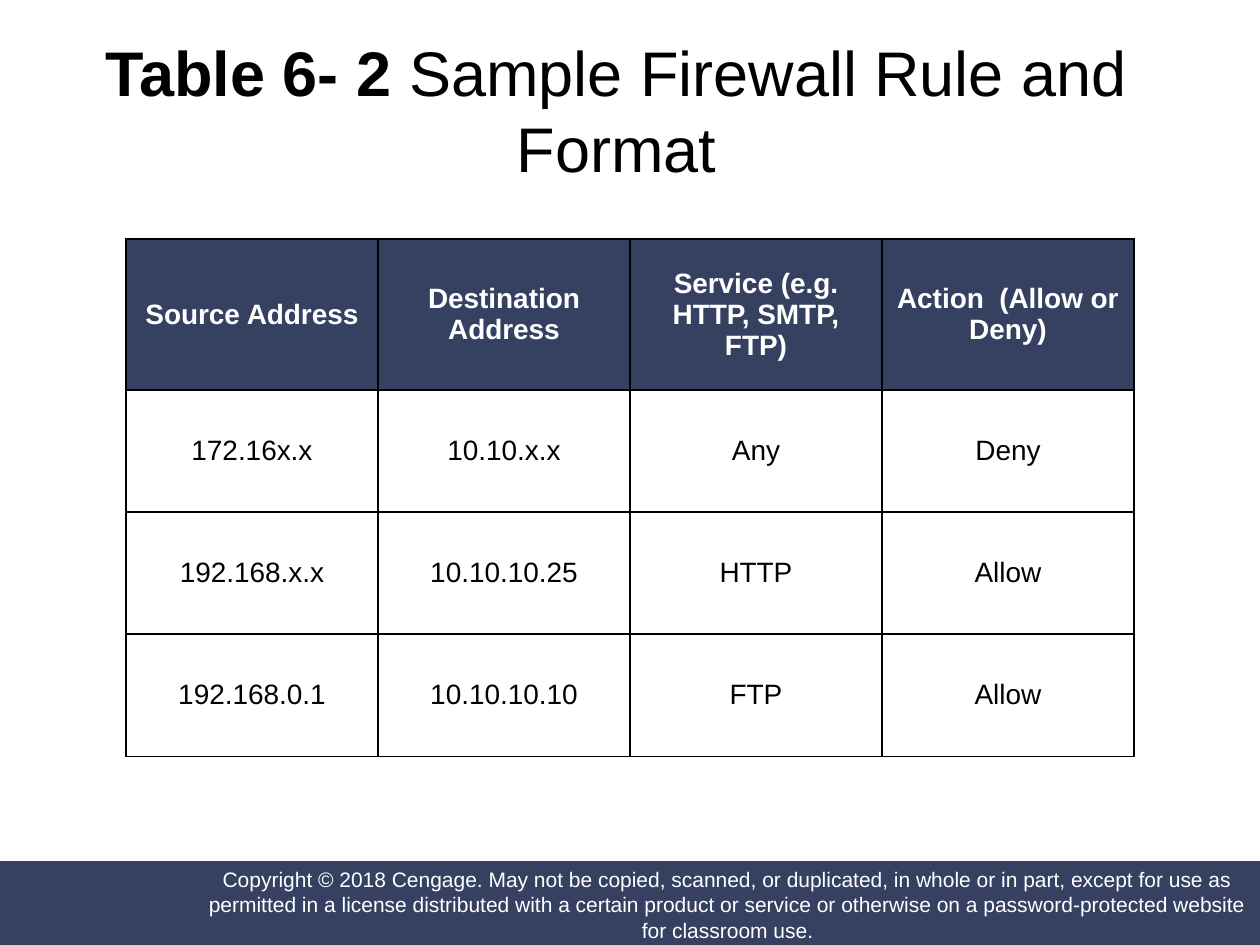
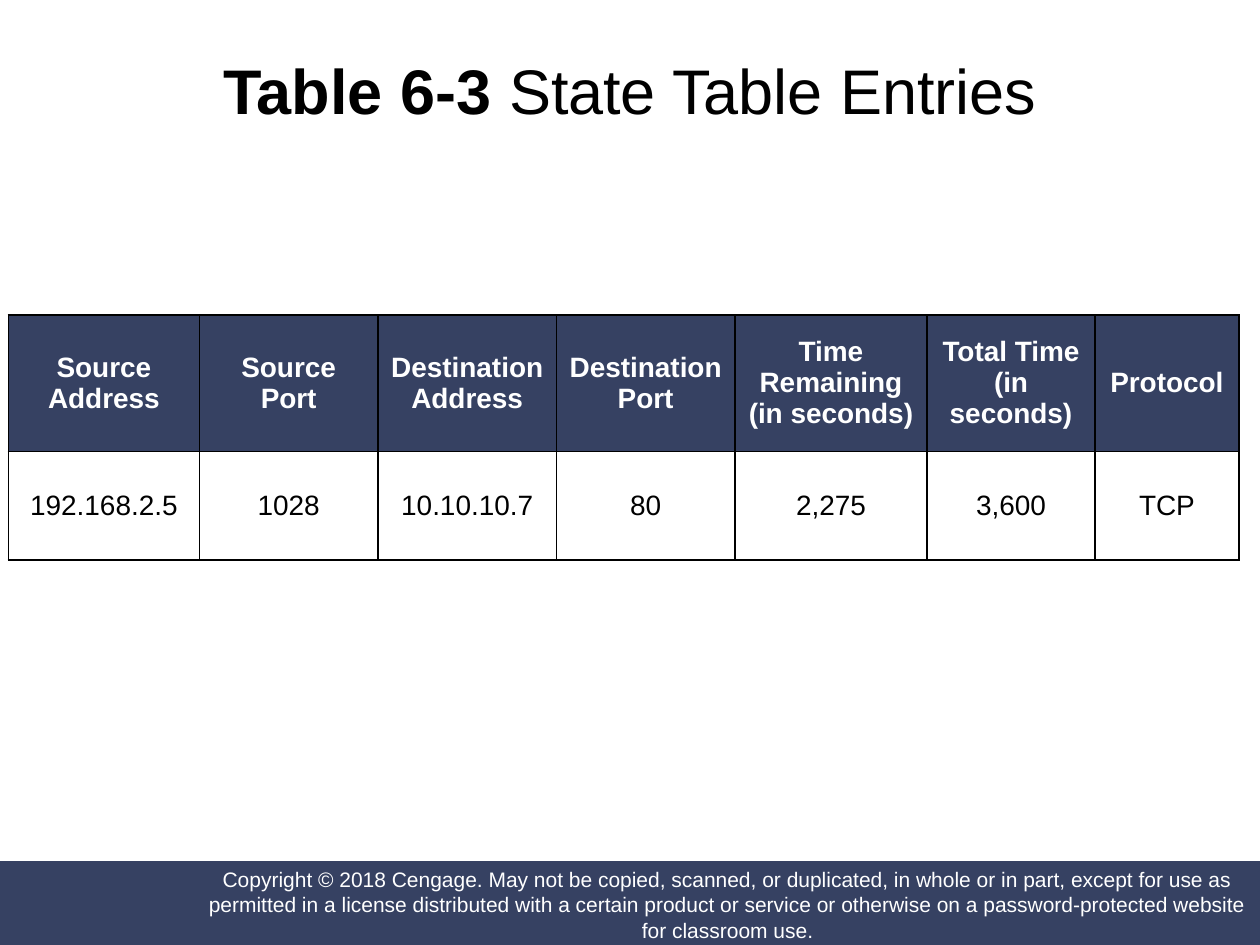
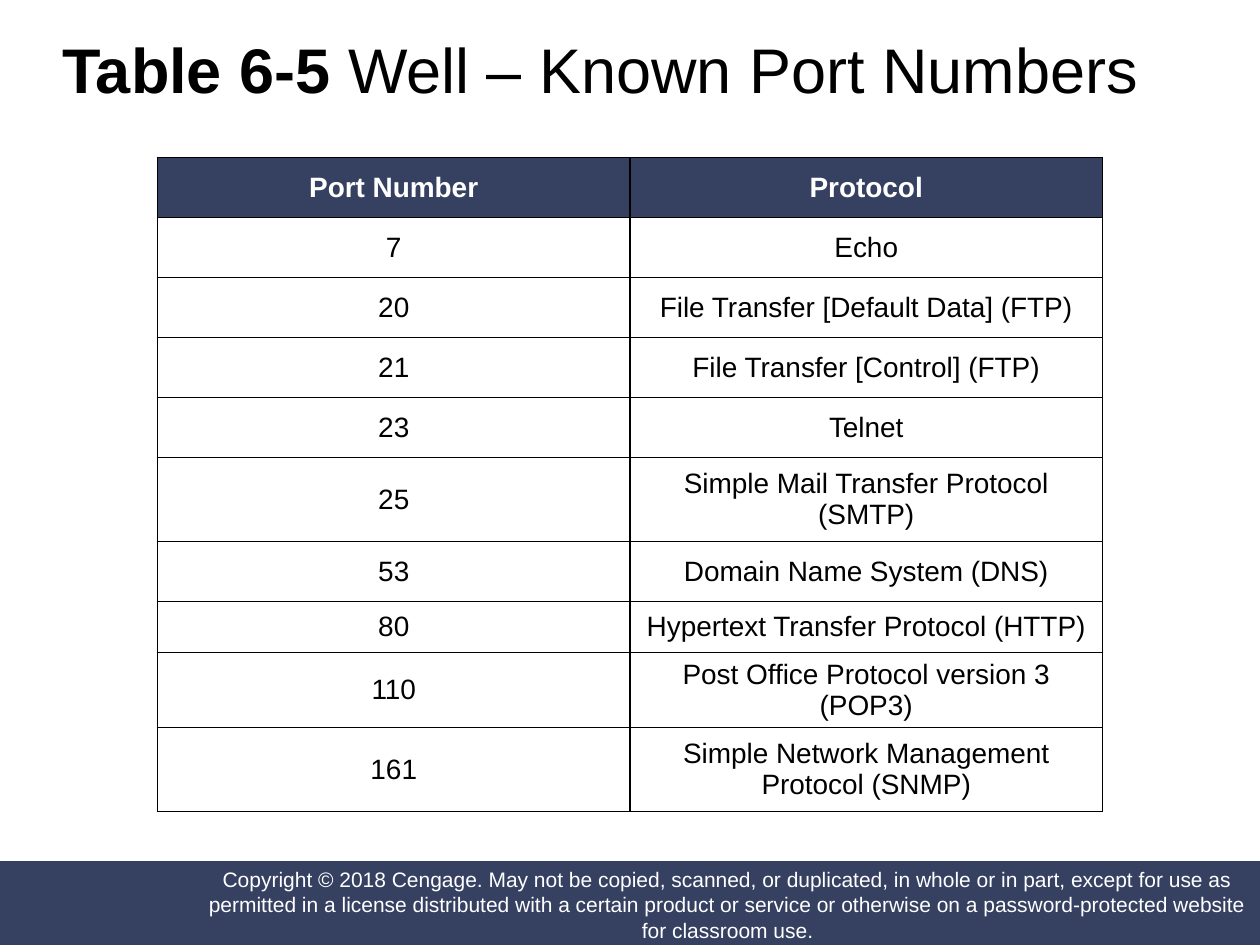
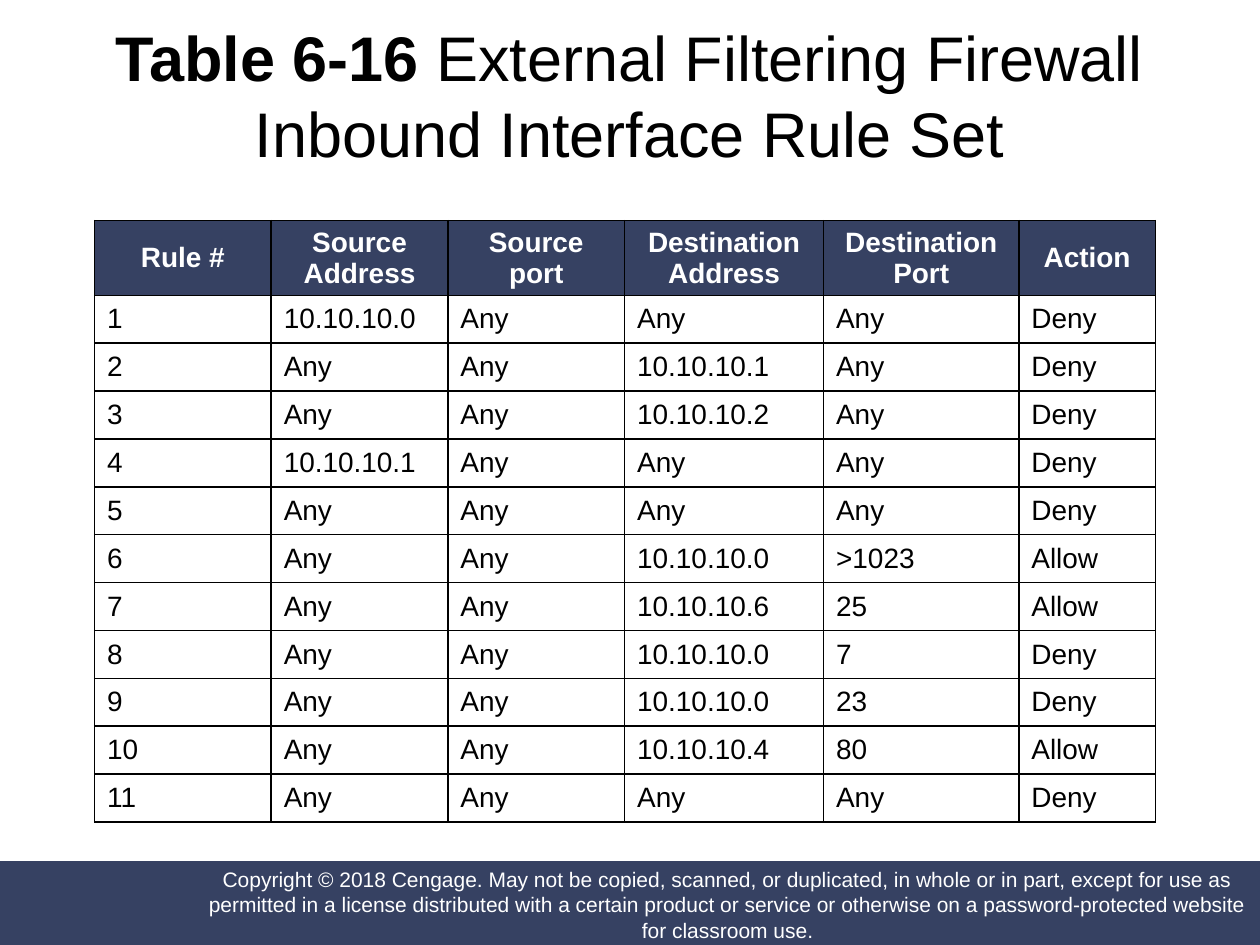
import dataclasses

import lxml.etree
import pptx
import pptx.dml.color
import pptx.enum.shapes
import pptx.enum.text
import pptx.oxml.ns
import pptx.util

COLUMNS, ROWS = 120, 90
UNIT = pptx.util.Inches(10) // COLUMNS
CENTER = pptx.enum.text.PP_ALIGN.CENTER
LEFT = pptx.enum.text.PP_ALIGN.LEFT
MIDDLE = pptx.enum.text.MSO_ANCHOR.MIDDLE
TITLE_ONLY = 5


@dataclasses.dataclass(frozen=True)
class Theme:
    font: str = "Arial"
    navy: str = "364162"
    white: str = "FFFFFF"
    black: str = "000000"
    title_size: int = 36
    table_size: int = 16
    footer_size: int = 12
    border_width: int = 1


@dataclasses.dataclass(frozen=True)
class Box:
    """A region in grid columns and rows."""
    left: float
    top: float
    width: float
    height: float

    def emu(self):
        return [grid(value) for value in dataclasses.astuple(self)]


@dataclasses.dataclass(frozen=True)
class TableSlide:
    number: str
    caption: str
    title_box: Box
    table_left: float
    table_top: float
    column_widths: list
    row_heights: list
    rows: list
    body_alignment: int = CENTER


THEME = Theme()
COPYRIGHT = (
    "Copyright © 2018 Cengage. May not be copied, scanned, or duplicated, in whole or in part, "
    "except for use as permitted in a license distributed with a certain product or service or "
    "otherwise on a password-protected website for classroom use."
)

TABLE_SLIDES = [
    TableSlide(
        "Table 6- 2 ", "Sample Firewall Rule and Format", Box(6, 3.8, 105.4, 13.2),
        12, 22.75, [24] * 4, [14.4] + [11.63] * 3,
        [
            ["Source Address", "Destination Address", "Service (e.g. HTTP, SMTP, FTP)",
             "Action  (Allow or Deny)"],
            ["172.16x.x", "10.10.x.x", "Any", "Deny"],
            ["192.168.x.x", "10.10.10.25", "HTTP", "Allow"],
            ["192.168.0.1", "10.10.10.10", "FTP", "Allow"],
        ],
    ),
    TableSlide(
        "Table 6-3 ", "State Table Entries", Box(2, 2, 116, 13),
        0.8, 30, [18.2, 17, 17, 17, 18.3, 16, 13.7], [13, 10.35],
        [
            ["Source Address", "Source Port", "Destination Address", "Destination Port",
             "Time Remaining (in seconds)", "Total Time (in seconds)", "Protocol"],
            ["192.168.2.5", "1028", "10.10.10.7", "80", "2,275", "3,600", "TCP"],
        ],
    ),
    TableSlide(
        "Table 6-5 ", "Well – Known Port Numbers ", Box(3, 1, 110, 11),
        15, 15, [45] * 2, [5.72] * 5 + [8, 5.72, 4.85, 5.9, 8],
        [
            ["Port Number", "Protocol"],
            ["7", "Echo"],
            ["20", "File Transfer [Default Data] (FTP)"],
            ["21", "File Transfer [Control] (FTP)"],
            ["23", "Telnet"],
            ["25", "Simple Mail Transfer Protocol (SMTP)"],
            ["53", "Domain Name System (DNS)"],
            ["80", "Hypertext Transfer Protocol (HTTP)"],
            ["110", "Post Office Protocol version 3 (POP3)"],
            ["161", "Simple Network Management Protocol (SNMP)"],
        ],
    ),
    TableSlide(
        "Table 6-16 ", "External Filtering Firewall Inbound Interface Rule Set",
        Box(5.4, 2, 109.1, 14),
        9, 21, [16.83] * 3 + [18.95, 18.6, 13], [6.9] + [4.56] * 11,
        [
            ["Rule #", "Source Address", "Source port", "Destination Address",
             "Destination Port", "Action"],
            ["1", "10.10.10.0", "Any", "Any", "Any", "Deny"],
            ["2", "Any", "Any", "10.10.10.1", "Any", "Deny"],
            ["3", "Any", "Any", "10.10.10.2", "Any", "Deny"],
            ["4", "10.10.10.1", "Any", "Any", "Any", "Deny"],
            ["5", "Any", "Any", "Any", "Any", "Deny"],
            ["6", "Any", "Any", "10.10.10.0", ">1023", "Allow"],
            ["7", "Any", "Any", "10.10.10.6", "25", "Allow"],
            ["8", "Any", "Any", "10.10.10.0", "7", "Deny"],
            ["9", "Any", "Any", "10.10.10.0", "23", "Deny"],
            ["10", "Any", "Any", "10.10.10.4", "80", "Allow"],
            ["11", "Any", "Any", "Any", "Any", "Deny"],
        ],
        LEFT,
    ),
]


def grid(value):
    return round(value * UNIT)


def color(value):
    return pptx.dml.color.RGBColor.from_string(value)


def format_font(font, size, font_color, bold=False):
    font.name = THEME.font
    font.size = pptx.util.Pt(size)
    font.bold = bold
    font.color.rgb = color(font_color)


def place(shape, box):
    shape.left, shape.top, shape.width, shape.height = box.emu()


def add_band(slide, box):
    band = slide.shapes.add_shape(pptx.enum.shapes.MSO_SHAPE.RECTANGLE, *box.emu())
    band.shadow.inherit = False
    band.fill.solid()
    band.fill.fore_color.rgb = color(THEME.navy)
    band.line.fill.background()
    return band


def add_footer(slide, master):
    """Build the copyright footer with the slide's shape tools, then move it to the master."""
    band = add_band(slide, Box(-0.1, 82, 120.1, 8.1))
    notice = add_band(slide, Box(19.5, 82.3, 99.6, 7.7))
    frame = notice.text_frame
    frame.text = COPYRIGHT
    frame.word_wrap = True
    frame.vertical_anchor = MIDDLE
    frame.margin_left = frame.margin_top = frame.margin_right = frame.margin_bottom = 0
    paragraph = frame.paragraphs[0]
    paragraph.alignment = CENTER
    format_font(paragraph.runs[0].font, THEME.footer_size, THEME.white)
    next_id = max(shape.shape_id for shape in master.shapes) + 1
    for offset, shape in enumerate((band, notice)):
        shape.element.xpath("p:nvSpPr/p:cNvPr")[0].set("id", str(next_id + offset))
        master.shapes.element.insert(2 + offset, shape.element)


def add_title(slide, number, caption, box):
    title = slide.shapes.title
    place(title, box)
    frame = title.text_frame
    frame.auto_size = pptx.enum.text.MSO_AUTO_SIZE.NONE
    frame.word_wrap = True
    frame.vertical_anchor = MIDDLE
    paragraph = frame.paragraphs[0]
    paragraph.alignment = CENTER
    for text, bold in ((number, True), (caption, False)):
        run = paragraph.add_run()
        run.text = text
        format_font(run.font, THEME.title_size, THEME.black, bold)


def add_borders(cell):
    """Draw the four cell borders, which must come before the cell's fill."""
    properties = cell._tc.get_or_add_tcPr()
    for index, side in enumerate(("lnL", "lnR", "lnT", "lnB")):
        line = lxml.etree.Element(pptx.oxml.ns.qn("a:" + side))
        line.set("w", str(pptx.util.Pt(THEME.border_width)))
        fill = lxml.etree.SubElement(line, pptx.oxml.ns.qn("a:solidFill"))
        lxml.etree.SubElement(fill, pptx.oxml.ns.qn("a:srgbClr")).set("val", THEME.black)
        properties.insert(index, line)


def format_cell(cell, text, is_header, alignment):
    cell.text = text
    cell.vertical_anchor = MIDDLE
    if is_header:
        cell.fill.solid()
        cell.fill.fore_color.rgb = color(THEME.navy)
    else:
        cell.fill.background()
    add_borders(cell)
    paragraph = cell.text_frame.paragraphs[0]
    paragraph.alignment = CENTER if is_header else alignment
    font_color = THEME.white if is_header else THEME.black
    format_font(paragraph.runs[0].font, THEME.table_size, font_color, is_header)


def add_table(slide, content):
    box = Box(content.table_left, content.table_top,
              sum(content.column_widths), sum(content.row_heights))
    table = slide.shapes.add_table(
        len(content.rows), len(content.column_widths), *box.emu()).table
    table.horz_banding = False
    for column, width in zip(table.columns, content.column_widths):
        column.width = grid(width)
    for row, height in zip(table.rows, content.row_heights):
        row.height = grid(height)
    for row_index, texts in enumerate(content.rows):
        for column_index, text in enumerate(texts):
            format_cell(table.cell(row_index, column_index), text,
                        row_index == 0, content.body_alignment)


def main():
    presentation = pptx.Presentation()
    presentation.slide_width = COLUMNS * UNIT
    presentation.slide_height = ROWS * UNIT
    for content in TABLE_SLIDES:
        slide = presentation.slides.add_slide(presentation.slide_layouts[TITLE_ONLY])
        add_title(slide, content.number, content.caption, content.title_box)
        add_table(slide, content)
    add_footer(presentation.slides[0], presentation.slide_master)
    presentation.save("out.pptx")


if __name__ == "__main__":
    main()
